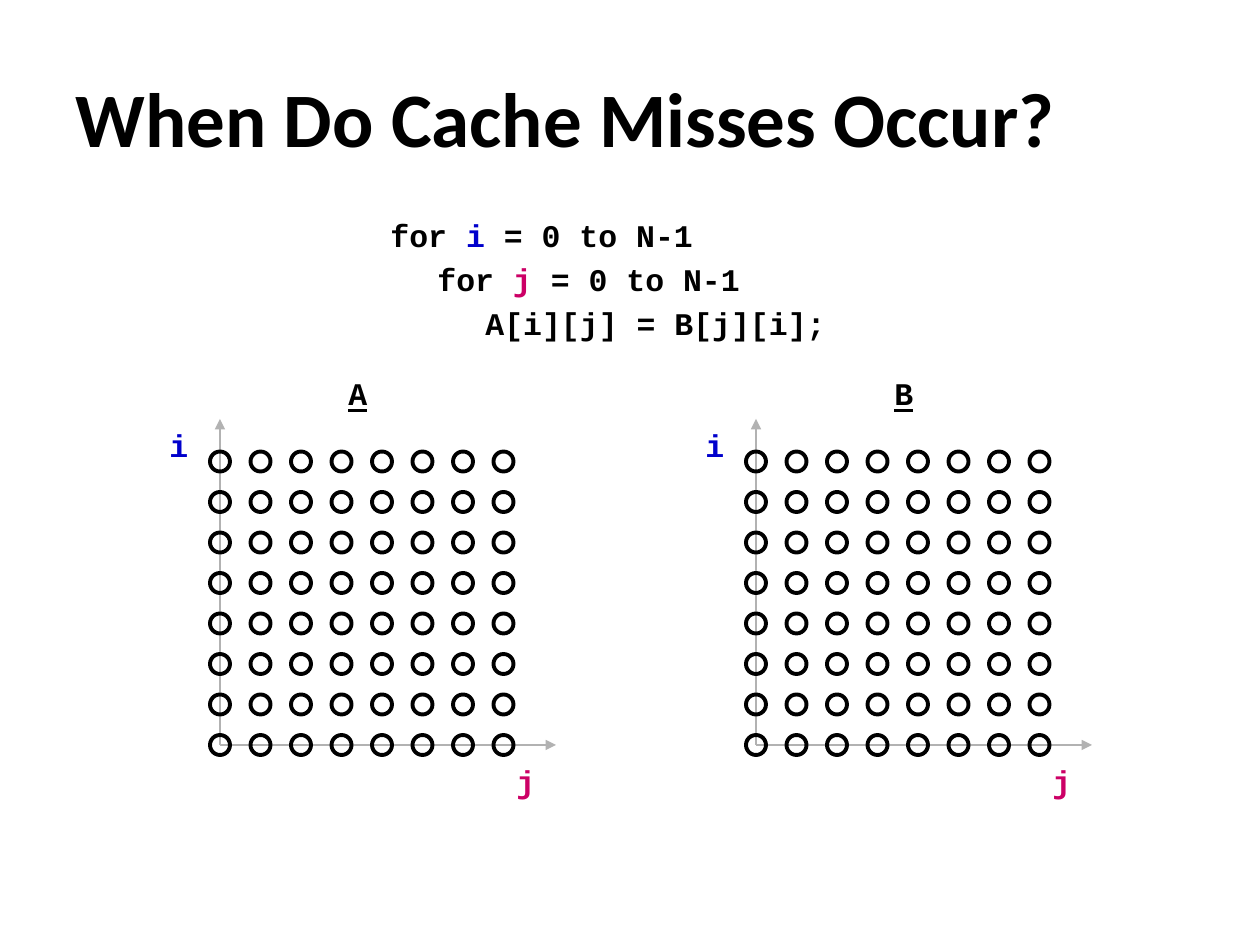
from dataclasses import dataclass

from lxml.etree import SubElement
from pptx import Presentation
from pptx.dml.color import RGBColor
from pptx.enum.shapes import MSO_CONNECTOR, MSO_SHAPE
from pptx.enum.text import MSO_ANCHOR, MSO_AUTO_SIZE
from pptx.oxml.ns import qn
from pptx.util import Pt

EMU_PER_PX = 914400 / 126


def px(length):
    return round(length * EMU_PER_PX)


@dataclass(frozen=True)
class Theme:
    ink: str = "000000"
    row_index: str = "0000CC"
    column_index: str = "CC0066"
    axis: str = "B2B2B2"
    title_font: str = "Calibri"
    code_font: str = "Courier New"
    title_size: int = 44
    code_size: int = 18
    axis_width: float = 1.5
    dot_width: float = 2.25
    code_spacing: float = 0.7
    code_gap: int = 10
    code_tabs: tuple = (47, 95)


class SlideBuilder:
    def __init__(self, slide, theme):
        self.slide = slide
        self.theme = theme

    def text_box(self, parent, box, wrap=True):
        frame = parent.shapes.add_textbox(*map(px, box)).text_frame
        frame.word_wrap = wrap
        return frame

    def style(self, paragraph, face, size, underline=None):
        font = paragraph.font
        font.name, font.size, font.bold = face, Pt(size), True
        font.underline = underline

    def add_run(self, paragraph, text, color):
        run = paragraph.add_run()
        run.text = text
        run.font.color.rgb = RGBColor.from_string(color)

    def title(self, text, box):
        frame = self.text_box(self.slide, box)
        frame.vertical_anchor = MSO_ANCHOR.MIDDLE
        heading = frame.paragraphs[0]
        self.style(heading, self.theme.title_font, self.theme.title_size)
        self.add_run(heading, text, self.theme.ink)

    def code(self, parent, lines, box):
        """Each line is a list of (text, color) parts."""
        theme = self.theme
        frame = self.text_box(parent, box)
        frame.auto_size = MSO_AUTO_SIZE.SHAPE_TO_FIT_TEXT
        for number, parts in enumerate(lines):
            line = frame.add_paragraph() if number else frame.paragraphs[0]
            line.line_spacing = theme.code_spacing
            line.space_before = Pt(theme.code_gap)
            tabs = SubElement(line._p.get_or_add_pPr(), qn("a:tabLst"))
            for stop in theme.code_tabs:
                SubElement(tabs, qn("a:tab"), pos=str(px(stop)), algn="l")
            self.style(line, theme.code_font, theme.code_size)
            for text, color in parts:
                self.add_run(line, text, color)

    def array_name(self, text, box):
        frame = self.text_box(self.slide, box, wrap=False)
        frame.auto_size = MSO_AUTO_SIZE.SHAPE_TO_FIT_TEXT
        name = frame.paragraphs[0]
        self.style(name, self.theme.code_font, self.theme.code_size, underline=True)
        self.add_run(name, text, self.theme.ink)

    def axis(self, parent, start, end):
        arrow = parent.shapes.add_connector(
            MSO_CONNECTOR.STRAIGHT, *map(px, (*start, *end)))
        arrow.line.color.rgb = RGBColor.from_string(self.theme.axis)
        arrow.line.width = Pt(self.theme.axis_width)
        SubElement(arrow.line._get_or_add_ln(), qn("a:tailEnd"), type="triangle")
        SubElement(arrow._element.spPr, qn("a:effectLst"))

    def dot(self, parent, x, y, size):
        circle = parent.shapes.add_shape(
            MSO_SHAPE.OVAL, *map(px, (x, y, size, size)))
        circle.shadow.inherit = False
        circle.fill.background()
        circle.line.color.rgb = RGBColor.from_string(self.theme.ink)
        circle.line.width = Pt(self.theme.dot_width)

    def array_grid(self, x, y, count=8, pitch=40.5, size=20):
        """Draw the axes from origin (x, y) and a square of element dots."""
        theme = self.theme
        grid = self.slide.shapes.add_group_shape()
        self.axis(grid, (x, y), (x, y - 326))
        self.axis(grid, (x, y), (x + 336, y))
        self.code(grid, [[("i", theme.row_index)]], (x - 63, y - 315, 40, 39))
        self.code(grid, [[("j", theme.column_index)]], (x + 284, y + 21, 40, 39))
        for row in range(count):
            for column in range(count):
                self.dot(grid, x - size / 2 + column * pitch,
                         y - size / 2 - row * pitch, size)


def main():
    deck = Presentation()
    deck.slide_width, deck.slide_height = px(1260), px(945)
    theme = Theme()
    builder = SlideBuilder(deck.slides.add_slide(deck.slide_layouts[6]), theme)

    # Title
    builder.title("When Do Cache Misses Occur?", (63, 38, 1134, 158))

    # Nested loops
    bounds = (" = 0 to N-1", theme.ink)
    builder.code(builder.slide, [
        [("for ", theme.ink), ("i", theme.row_index), bounds],
        [("\tfor ", theme.ink), ("j", theme.column_index), bounds],
        [("\t\tA[i][j] = B[j][i];", theme.ink)],
    ], (378, 220, 462, 130))

    # Array grids
    for origin_x in (220, 756):
        builder.array_grid(origin_x, 745)

    # Array names
    for name, left in (("A", 336), ("B", 882)):
        builder.array_name(name, (left, 368, 50, 63))

    deck.save("out.pptx")


if __name__ == "__main__":
    main()
